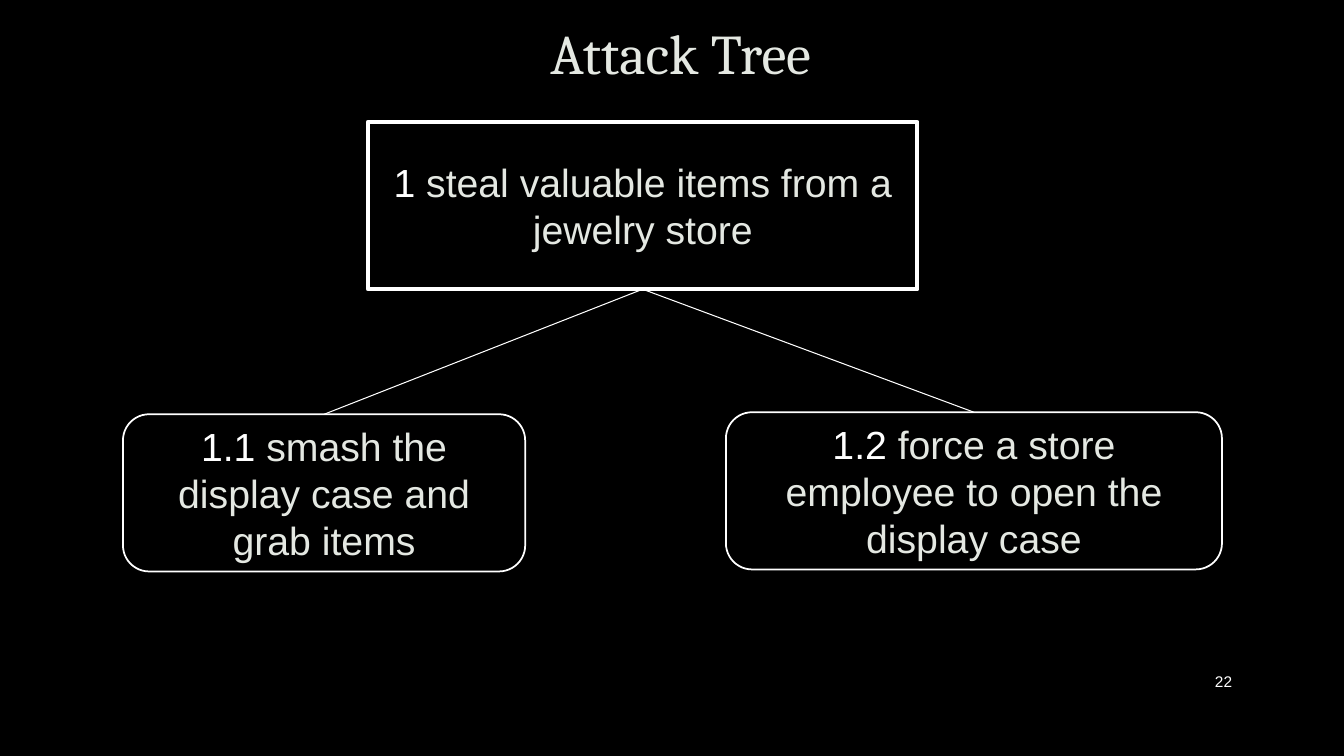
from dataclasses import dataclass

from lxml.etree import SubElement
from pptx import Presentation
from pptx.dml.color import RGBColor
from pptx.enum.shapes import MSO_CONNECTOR as Connector, MSO_SHAPE as Shape
from pptx.enum.text import MSO_ANCHOR as Anchor, PP_ALIGN as Align
from pptx.oxml import parse_xml
from pptx.oxml.ns import nsdecls, qn
from pptx.util import Inches, Pt

# Content: places are left, top, width, height in percent of the slide
TITLE = ("Attack Tree", (8.18, 1.87, 84.92, 11.2))
PAGE = ("22", (86.27, 87.47, 6.15, 5.33))
GOAL = ("1 ", "steal valuable items from a jewelry store",
        (27.38, 16.13, 40.88, 22.13))
ATTACKS = [
    ("1.1 ", "smash the display case and grab items",
     (9.15, 54.8, 29.93, 20.8)),
    ("1.2 ", "force a store employee to open the display case",
     (54.01, 54.53, 36.91, 20.8)),
]


@dataclass(frozen=True)
class Theme:
    ground: str = "000000"
    white: str = "FFFFFF"
    pale: str = "E4E8E2"
    outline: str = "404040"
    heading_font: str = "Cambria"
    body_font: str = "Arial"
    title_size: float = 40
    node_size: float = 28
    page_size: float = 11
    goal_line: float = 3
    attack_line: float = 1.25
    branch_line: float = 0.75


THEME = Theme()
TOP, BOTTOM = 0, 2  # connection sites

deck = Presentation()
deck.slide_width, deck.slide_height = Inches(13.33), Inches(7.5)
slide = deck.slides.add_slide(deck.slide_layouts[6])
slide.background.fill.solid()
slide.background.fill.fore_color.rgb = RGBColor.from_string(THEME.ground)


def place(percent):
    sides = (deck.slide_width, deck.slide_height) * 2
    return [round(side * share / 100) for side, share in zip(sides, percent)]


def add_run(paragraph, words, size, color, font=THEME.body_font):
    run = paragraph.add_run()
    run.text = words
    run.font.size, run.font.name = Pt(size), font
    run.font.color.rgb = RGBColor.from_string(color)
    if color == THEME.pale:  # pale words carry a faint outline
        run.font._element.insert(0, parse_xml(
            f'<a:ln {nsdecls("a")} w="9525"><a:solidFill>'
            f'<a:srgbClr val="{THEME.outline}"><a:alpha val="10000"/></a:srgbClr>'
            '</a:solidFill></a:ln>'))


def first_paragraph(holder, align):
    frame = holder.text_frame
    frame.word_wrap, frame.vertical_anchor = True, Anchor.MIDDLE
    frame.paragraphs[0].alignment = align
    return frame.paragraphs[0]


def add_node(number, action, percent, outline, line_width):
    node = slide.shapes.add_shape(outline, *place(percent))
    node.shadow.inherit = False
    node.fill.solid()
    node.fill.fore_color.rgb = RGBColor.from_string(THEME.ground)
    node.line.color.rgb = RGBColor.from_string(THEME.white)
    node.line.width = Pt(line_width)
    label = first_paragraph(node, Align.CENTER)
    add_run(label, number, THEME.node_size, THEME.white)
    add_run(label, action, THEME.node_size, THEME.pale)
    return node


def add_branch(parent, child):
    branch = slide.shapes.add_connector(Connector.STRAIGHT, 0, 0, 0, 0)
    branch.begin_connect(parent, BOTTOM)
    branch.end_connect(child, TOP)
    branch.line.color.rgb = RGBColor.from_string(THEME.white)
    branch.line.width = Pt(THEME.branch_line)
    SubElement(branch._element.spPr, qn("a:effectLst"))


# Page number and title
page_number = first_paragraph(slide.shapes.add_textbox(*place(PAGE[1])), Align.RIGHT)
add_run(page_number, PAGE[0], THEME.page_size, THEME.white)
title = first_paragraph(slide.shapes.add_textbox(*place(TITLE[1])), Align.CENTER)
title.line_spacing = 0.9
add_run(title, TITLE[0], THEME.title_size, THEME.pale, THEME.heading_font)

# Tree: the goal, its attacks, then the branches
goal = add_node(*GOAL, Shape.RECTANGLE, THEME.goal_line)
attacks = [add_node(*attack, Shape.ROUNDED_RECTANGLE, THEME.attack_line)
           for attack in ATTACKS]
for attack in attacks:
    add_branch(goal, attack)

deck.save("out.pptx")
